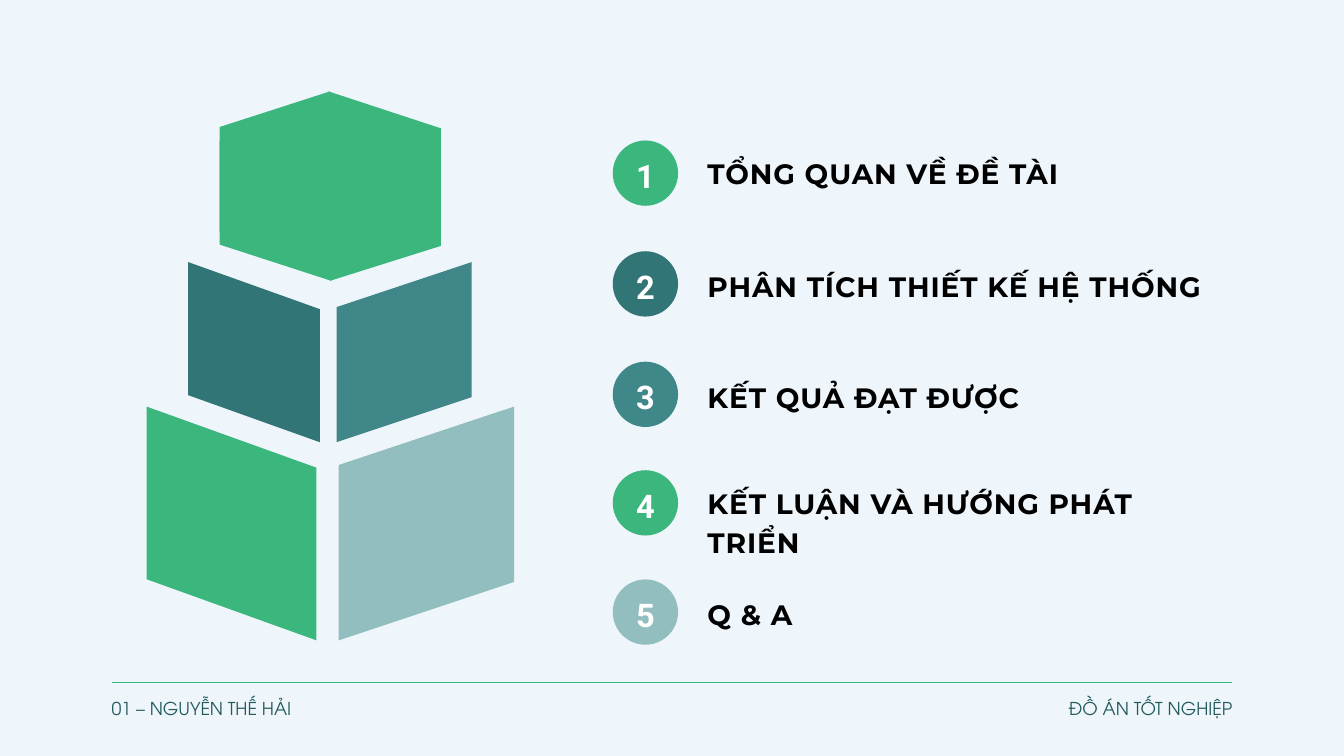
import pptx
import pptx.util
import pptx.dml.color
import pptx.enum.shapes
import pptx.enum.text
import pptx.oxml.ns
import lxml.etree

Pt = pptx.util.Pt
RGBColor = pptx.dml.color.RGBColor
ALIGN = pptx.enum.text.PP_ALIGN

SKY = RGBColor(0xEF, 0xF6, 0xFB)
GREEN = RGBColor(0x3B, 0xB7, 0x7E)
DARK_TEAL = RGBColor(0x32, 0x75, 0x76)
TEAL = RGBColor(0x40, 0x87, 0x89)
PALE_TEAL = RGBColor(0x92, 0xBE, 0xBF)
FOOTER_TEAL = RGBColor(0x23, 0x5A, 0x5B)
BLACK = RGBColor(0, 0, 0)
WHITE = RGBColor(0xFF, 0xFF, 0xFF)

CUBES = [
    (GREEN, [(78.4, 198, 53.2, 92, 110.9), (315.3, 196.5, 53.2, 90.6, 112.3),
             (315.3, 195.1, 39.5, 0, 110.9), (78.4, 196.5, 38.1, 0, 112.3)]),
    (DARK_TEAL, [(44.6, 185.7, 182.8, 233.2, 142.6)]),
    (TEAL, [(348.4, 203.7, 182.8, 231, 144.7)]),
    (GREEN, [(0, 182.1, 337.6, 403.1, 185)]),
    (PALE_TEAL, [(393.8, 205.9, 337.6, 400.2, 187.9)]),
]

AGENDA = [
    (150.5, 11.5, GREEN, "TỔNG QUAN VỀ ĐỀ TÀI"),
    (269.2, 13.7, DARK_TEAL, "PHÂN TÍCH THIẾT KẾ HỆ THỐNG"),
    (387.5, 13.7, TEAL, "KẾT QUẢ ĐẠT ĐƯỢC"),
    (503.8, 11, GREEN, "KẾT LUẬN VÀ HƯỚNG PHÁT TRIỂN"),
    (620.8, 13.7, PALE_TEAL, "Q & A"),
]


def add_text(shapes, left, top, width, height, text, font, size, color,
             leading, align=ALIGN.LEFT, bold=False, tracking=0):
    box = shapes.add_textbox(Pt(left), Pt(top), Pt(width), Pt(height))
    frame = box.text_frame
    frame.word_wrap = True
    frame.auto_size = pptx.enum.text.MSO_AUTO_SIZE.SHAPE_TO_FIT_TEXT
    frame.margin_left = frame.margin_right = 0
    frame.margin_top = frame.margin_bottom = 0
    para = frame.paragraphs[0]
    para.alignment = align
    para.line_spacing = Pt(leading)
    span = para.add_run()
    span.text = text
    span.font.name = font
    span.font.size = Pt(size)
    span.font.bold = bold
    span.font.color.rgb = color
    if tracking:
        span.font._element.set("spc", str(int(tracking * 100)))


def paint(shape, color):
    shape.shadow.inherit = False
    shape.fill.solid()
    shape.fill.fore_color.rgb = color
    shape.line.fill.background()


def add_cube_stack(page, left, top):
    for color, faces in CUBES:
        group = page.shapes.add_group_shape()
        for outer, inner, outer_top, inner_top, height in faces:
            corners = [(outer, outer_top), (inner, inner_top),
                       (inner, inner_top + height), (outer, outer_top + height)]
            points = [(Pt(left + x), Pt(top + y)) for x, y in corners]
            builder = group.shapes.build_freeform(*points[0])
            builder.add_line_segments(points[1:], close=True)
            paint(builder.convert_to_shape(), color)


def add_agenda_item(page, left, top, number, label_drop, color, label):
    group = page.shapes.add_group_shape()
    badge = group.shapes.add_shape(pptx.enum.shapes.MSO_SHAPE.OVAL,
                                   Pt(left), Pt(top), Pt(70), Pt(70))
    paint(badge, color)
    add_text(group.shapes, left + 16, top + 4.6, 38, 49, str(number), "Roboto",
             34.9, WHITE, 53.8, ALIGN.CENTER, True, 1.5)
    add_text(group.shapes, left + 101.5, top + label_drop, 563, 39.6, label,
             "Montserrat", 30, BLACK, 42, bold=True, tracking=1)


def add_footer(page, left, top, width):
    rule = page.shapes.add_connector(pptx.enum.shapes.MSO_CONNECTOR.STRAIGHT,
                                     Pt(left), Pt(top), Pt(left + width), Pt(top))
    rule.line.color.rgb = GREEN
    rule.line.width = Pt(0.75)
    lxml.etree.SubElement(rule._element.spPr, pptx.oxml.ns.qn("a:effectLst"))
    half = 350
    for x, text, align in [(left, "01 – NGUYỄN THẾ HẢI", ALIGN.LEFT),
                           (left + width - half, "ĐỒ ÁN TỐT NGHIỆP", ALIGN.RIGHT)]:
        add_text(page.shapes, x, top + 10, half, 28, text, "TeX Gyre Adventor",
                 19, FOOTER_TEAL, 29.4, align)


def main():
    deck = pptx.Presentation()
    deck.slide_width, deck.slide_height = Pt(1440), Pt(810)
    page = deck.slides.add_slide(deck.slide_layouts[6])
    page.background.fill.solid()
    page.background.fill.fore_color.rgb = SKY
    add_cube_stack(page, 157, 98)
    for number, (top, label_drop, color, label) in enumerate(AGENDA, 1):
        add_agenda_item(page, 656.5, top, number, label_drop, color, label)
    add_footer(page, 119.5, 731, 1201)
    deck.save("out.pptx")


if __name__ == "__main__":
    main()
